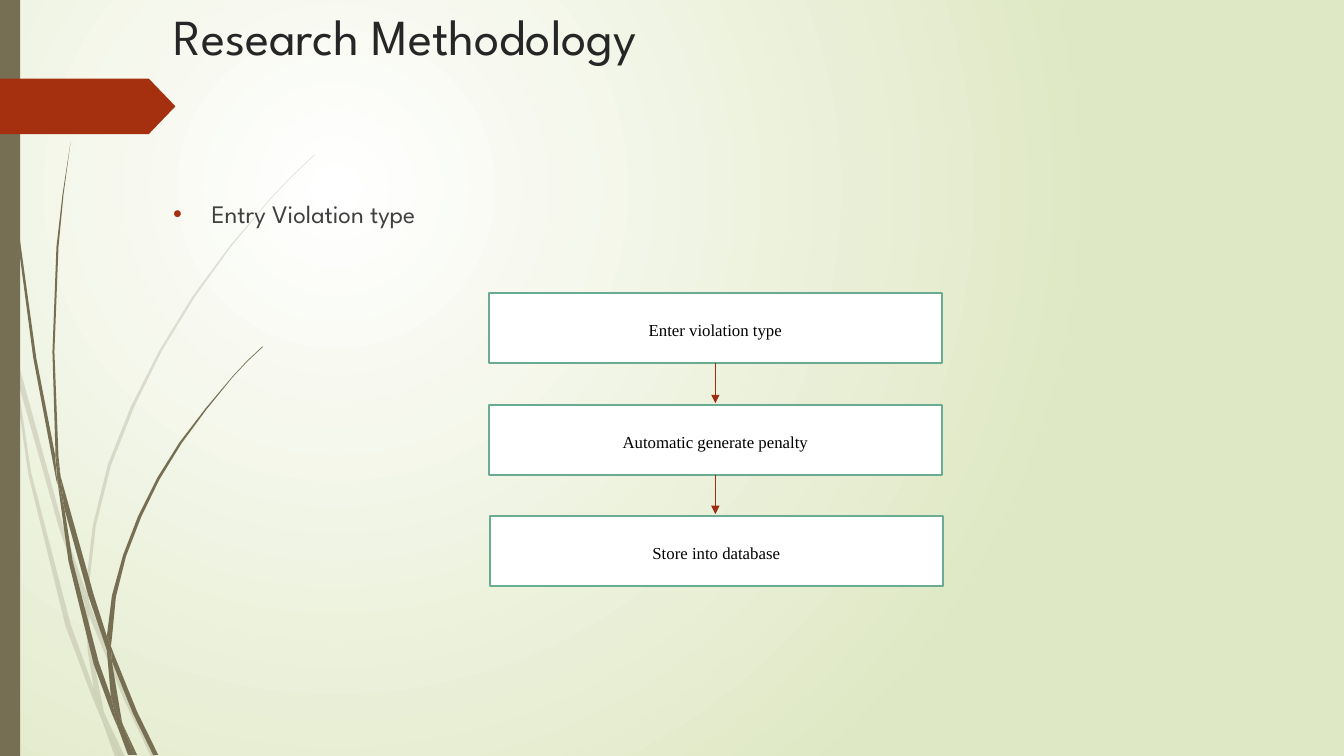
from lxml import etree
from pptx import Presentation
from pptx import util as u
from pptx.dml.color import RGBColor
from pptx.enum import shapes, text
from pptx.oxml.ns import qn

WHITE = RGBColor(0xFF, 0xFF, 0xFF)
BLACK = RGBColor(0, 0, 0)
PALE_GREEN = RGBColor(0xDF, 0xE8, 0xC4)
OLIVE = RGBColor(0x76, 0x6F, 0x54)
RUST = RGBColor(0xA5, 0x30, 0x10)
ARROW_RED = RGBColor(0x9E, 0x2E, 0x0F)
BOX_GREEN = RGBColor(0x6A, 0xAC, 0x91)
TITLE_GRAY = RGBColor(0x26, 0x26, 0x26)
BODY_GRAY = RGBColor(0x40, 0x40, 0x40)
HEADING_FONT = "League Spartan"
BOX_FONT = "Times New Roman"

# Outlines of the grass sections, in inches
FAINT_GRASS = [
    [(0.11, 3.5), (0.09, 3.22), (0, 2.82), (0, 2.99), (0.1, 3.44)],
    [(0.58, 5.22), (0.84, 5.99), (0.85, 5.86), (0.62, 5.2), (0.14, 3.45), (0.17, 3.76)],
    [(0.92, 6.07), (0.88, 5.96), (0.88, 6.1), (1.23, 6.94), (1.5, 7.51), (1.55, 7.51),
     (1.27, 6.92)],
    [(1.19, 7.51), (1.24, 7.51), (1.05, 7.11)],
    [(0.93, 6.83), (0.7, 6.19), (0.31, 4.69), (0.17, 3.76), (0.11, 3.5), (0.28, 4.7),
     (0.65, 6.21), (0.92, 6.93), (1.01, 7.14), (0.99, 7.07)],
    [(0.84, 5.99), (0.87, 6.46), (0.93, 6.83), (0.96, 6.92), (1.05, 7.11), (1.03, 7.06),
     (0.91, 6.46), (0.88, 6.1), (0.88, 6.08)],
    [(0.88, 5.84), (0.95, 5.22), (1.1, 4.62), (1.33, 4.04), (1.6, 3.49), (1.93, 2.95),
     (2.29, 2.45), (2.68, 1.98), (2.9, 1.75), (3.12, 1.54), (3.12, 1.53), (2.89, 1.75),
     (2.68, 1.97), (2.28, 2.44), (1.91, 2.94), (1.58, 3.48), (1.3, 4.03), (1.07, 4.61),
     (0.92, 5.22), (0.85, 5.84), (0.85, 5.86), (0.88, 5.96)],
    [(1.01, 7.14), (1.14, 7.51), (1.19, 7.51)],
    [(0.88, 6.08), (0.88, 6.1), (0.88, 5.96), (0.85, 5.86), (0.84, 5.99)],
    [(0.96, 6.92), (0.93, 6.83), (0.99, 7.07), (1.01, 7.14), (1.19, 7.51), (1.05, 7.11)],
]
SOLID_GRASS = [
    [(0.07, 1.1), (0.17, 2.33), (0.33, 3.55), (0.56, 4.77), (0.57, 4.81), (0.55, 4.57),
     (0.55, 4.53), (0.36, 3.55), (0.19, 2.32), (0.08, 1.09), (0.05, 0.48), (0.04, 0),
     (0.03, 0), (0.04, 0.48)],
    [(0.88, 5.92), (1.06, 6.45), (1.06, 6.31), (0.93, 5.9), (0.6, 4.72), (0.64, 5.05)],
    [(1.13, 6.49), (1.1, 6.41), (1.11, 6.56), (1.32, 7.08), (1.52, 7.49), (1.57, 7.49),
     (1.36, 7.06)],
    [(1.1, 6.91), (0.98, 6.57), (0.72, 5.56), (0.64, 5.05), (0.57, 4.77), (0.68, 5.57),
     (0.93, 6.59), (1.11, 7.08), (1.17, 7.22), (1.16, 7.17)],
    [(0.6, 4.72), (0.58, 4.53), (0.54, 3.49), (0.58, 2.45), (0.63, 1.93), (0.7, 1.41),
     (0.62, 1.93), (0.56, 2.45), (0.52, 3.49), (0.55, 4.49)],
    [(1.33, 7.49), (1.36, 7.49), (1.22, 7.19)],
    [(0.57, 4.77), (0.64, 5.05), (0.6, 4.72), (0.55, 4.49), (0.55, 4.53)],
    [(1.11, 6.33), (1.15, 5.92), (1.25, 5.52), (1.4, 5.13), (1.58, 4.76), (1.8, 4.4),
     (2.05, 4.06), (2.31, 3.74), (2.45, 3.59), (2.61, 3.44), (2.6, 3.44), (2.45, 3.58),
     (2.31, 3.73), (2.04, 4.05), (1.78, 4.39), (1.56, 4.74), (1.37, 5.12), (1.22, 5.51),
     (1.11, 5.91), (1.06, 6.31), (1.1, 6.41)],
    [(1.17, 7.22), (1.27, 7.49), (1.31, 7.49)],
    [(1.06, 6.45), (1.1, 6.91), (1.16, 7.06), (1.22, 7.19), (1.21, 7.16), (1.11, 6.56)],
    [(1.06, 6.45), (1.11, 6.56), (1.1, 6.41), (1.06, 6.31)],
    [(1.16, 7.06), (1.1, 6.91), (1.17, 7.22), (1.3, 7.49), (1.33, 7.49), (1.22, 7.19)],
]
STEPS = [
    ("Enter violation type", 4.85, 2.91),
    ("Automatic generate penalty", 4.85, 4.02),
    ("Store into database", 4.86, 5.12),
]
STEP_WIDTH, STEP_HEIGHT = 4.49, 0.69


def add_child(parent, tag, **attributes):
    """Append a DrawingML element and return it."""
    return etree.SubElement(parent, qn(tag), attributes)


def paint_background(slide):
    """Fill the background with a round white-to-green glow."""
    fill = slide.background.fill
    fill.gradient()
    for stop, position, color in zip(fill.gradient_stops, (0, 1), (WHITE, PALE_GREEN)):
        stop.position = position
        stop.color.rgb = color
    gradient = slide.element.find(".//" + qn("a:gradFill"))
    gradient.remove(gradient.find(qn("a:lin")))
    glow = add_child(gradient, "a:path", path="circle")
    add_child(glow, "a:fillToRect", l="50000", t="50000", r="100000", b="100000")


def write(frame, words, *, font, size, color, anchor=text.MSO_ANCHOR.TOP,
          align=text.PP_ALIGN.LEFT, before=0, after=0, spacing=1.0):
    """Put formatted words in a text frame and return the paragraph."""
    frame.word_wrap = True
    frame.vertical_anchor = anchor
    paragraph = frame.paragraphs[0]
    paragraph.alignment = align
    paragraph.space_before, paragraph.space_after = u.Pt(before), u.Pt(after)
    paragraph.line_spacing = spacing
    run = paragraph.add_run()
    run.text = words
    run.font.name, run.font.size = font, u.Pt(size)
    run.font.color.rgb = color
    return paragraph


def add_bullet(paragraph, indent, color):
    """Give a paragraph a coloured bullet with a hanging indent."""
    properties = paragraph._p.get_or_add_pPr()
    properties.set("marL", str(u.Inches(indent)))
    properties.set("indent", str(-u.Inches(indent)))
    add_child(add_child(properties, "a:buClr"), "a:srgbClr", val=str(color))
    add_child(properties, "a:buFont", typeface="Arial")
    add_child(properties, "a:buChar", char="\u2022")


def style(shape, fill, line=None):
    """Set a flat fill and an optional outline."""
    shape.shadow.inherit = False
    shape.fill.solid()
    shape.fill.fore_color.rgb = fill
    if line is None:
        shape.line.fill.background()
    else:
        shape.line.color.rgb = line
        shape.line.width = u.Pt(1.25)


def add_block(slide, kind, left, top, width, height, fill, line=None):
    """Add a preset shape placed in inches."""
    block = slide.shapes.add_shape(kind, *map(u.Inches, (left, top, width, height)))
    style(block, fill, line)
    return block


def add_grass(slide, outlines, opacity=100):
    """Draw grass sections as olive outlines of the given opacity."""
    for outline in outlines:
        start, *rest = [(u.Inches(x), u.Inches(y)) for x, y in outline]
        builder = slide.shapes.build_freeform(*start)
        builder.add_line_segments(rest, close=True)
        section = builder.convert_to_shape()
        style(section, OLIVE)
        if opacity < 100:
            color = section._element.spPr.find(qn("a:solidFill"))[0]
            add_child(color, "a:alpha", val=str(opacity * 1000))


def add_arrow(slide, x, top, bottom):
    """Draw a downward arrow between two steps."""
    arrow = slide.shapes.add_connector(
        shapes.MSO_CONNECTOR.STRAIGHT, *map(u.Inches, (x, top, x, bottom)))
    arrow.line.color.rgb = ARROW_RED
    arrow.line.width = u.Pt(0.75)
    add_child(arrow.line._get_or_add_ln(), "a:tailEnd", type="triangle")
    add_child(arrow._element.spPr, "a:effectLst")


def add_headings(slide):
    """Write the title and the bulleted topic."""
    title = slide.shapes.title
    title.left, title.top, title.width, title.height = map(u.Inches, (1.62, 0, 10.96, 1.92))
    slide.shapes._spTree.append(title._element)
    write(title.text_frame, "Research Methodology",
          font=HEADING_FONT, size=36, color=TITLE_GRAY)
    topic = slide.shapes.add_textbox(*map(u.Inches, (1.62, 1.92, 10.96, 4.89)))
    paragraph = write(topic.text_frame, "Entry Violation type",
                      font=HEADING_FONT, size=18, color=BODY_GRAY, before=10)
    add_bullet(paragraph, 0.38, RUST)


def add_flow(slide):
    """Draw the steps and the arrows between them."""
    for words, left, top in STEPS:
        step = add_block(slide, shapes.MSO_SHAPE.RECTANGLE, left, top,
                         STEP_WIDTH, STEP_HEIGHT, WHITE, BOX_GREEN)
        write(step.text_frame, words, font=BOX_FONT, size=12, color=BLACK, after=10,
              anchor=text.MSO_ANCHOR.MIDDLE, align=text.PP_ALIGN.CENTER, spacing=1.15)
    for (_, left, top), (_, _, next_top) in zip(STEPS, STEPS[1:]):
        add_arrow(slide, left + STEP_WIDTH / 2, top + STEP_HEIGHT, next_top - 0.02)


def main():
    """Build the slide and save it."""
    deck = Presentation()
    deck.slide_width, deck.slide_height = u.Inches(13.33), u.Inches(7.5)
    slide = deck.slides.add_slide(deck.slide_layouts[5])
    paint_background(slide)
    add_grass(slide, FAINT_GRASS, opacity=20)
    add_grass(slide, SOLID_GRASS)
    add_block(slide, shapes.MSO_SHAPE.RECTANGLE, 0, 0, 0.2, 7.5, OLIVE)
    tag = add_block(slide, shapes.MSO_SHAPE.PENTAGON, 0, 0.78, 1.74, 0.55, RUST)
    tag.adjustments[0] = 0.48
    add_headings(slide)
    add_flow(slide)
    deck.save("out.pptx")


main()
